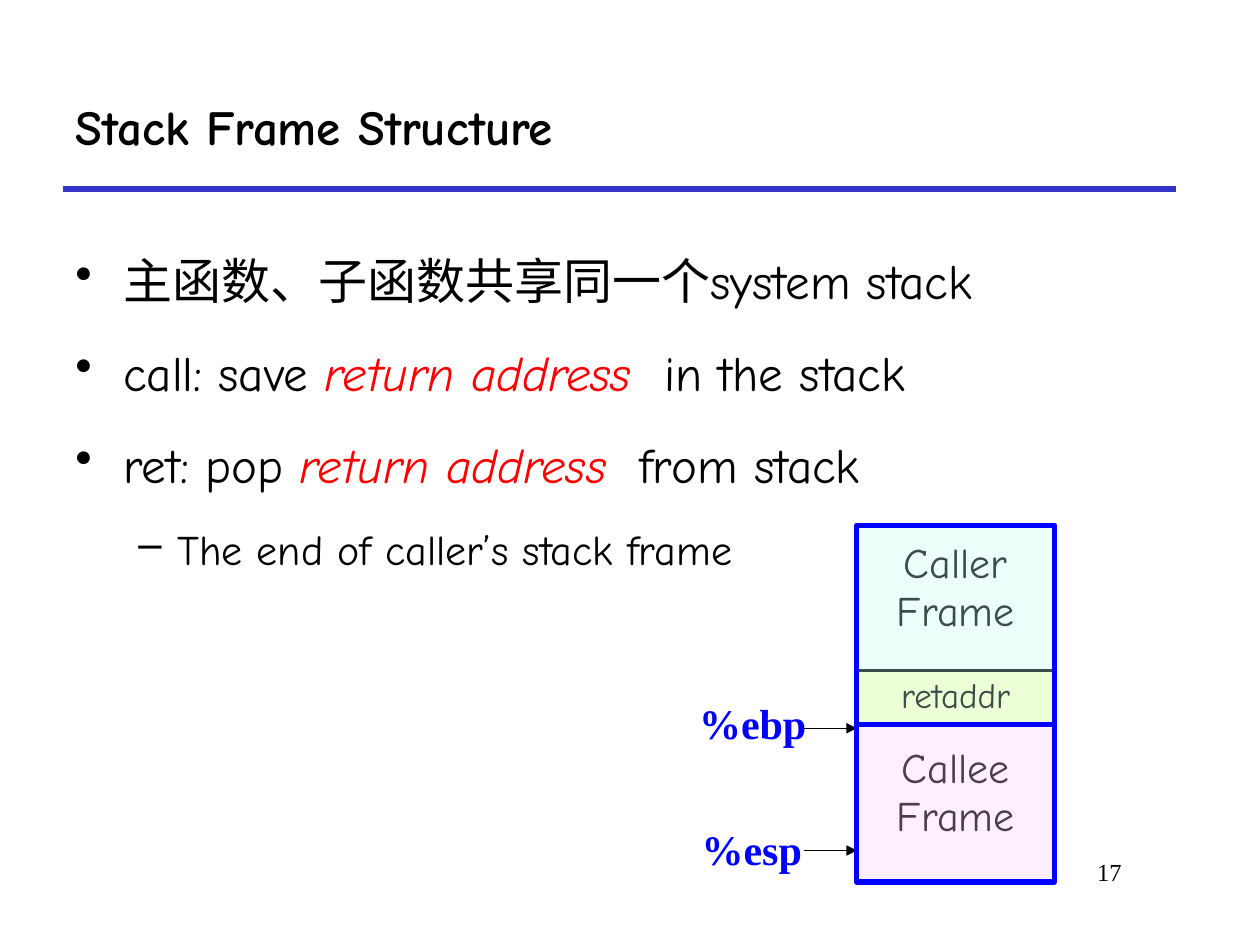
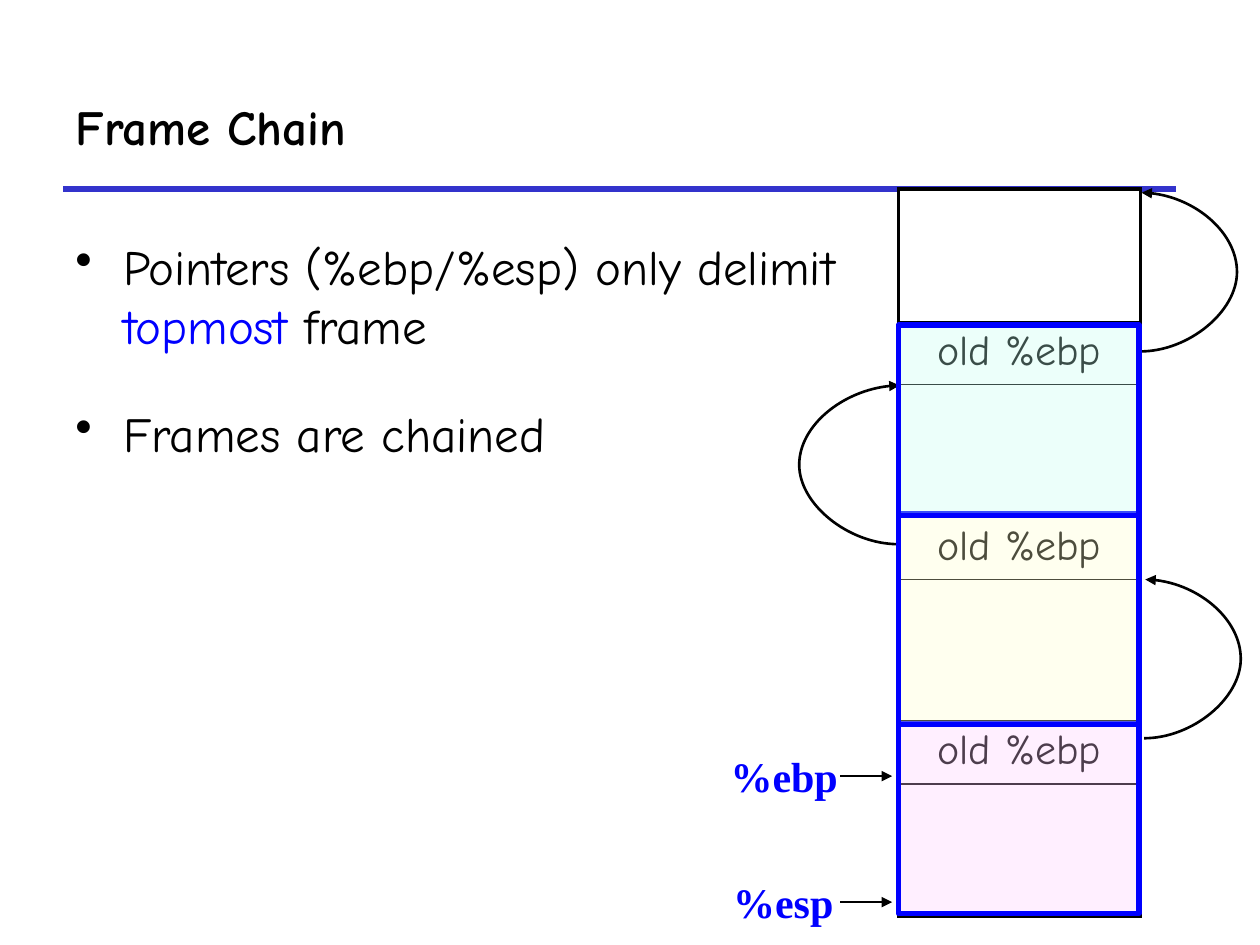
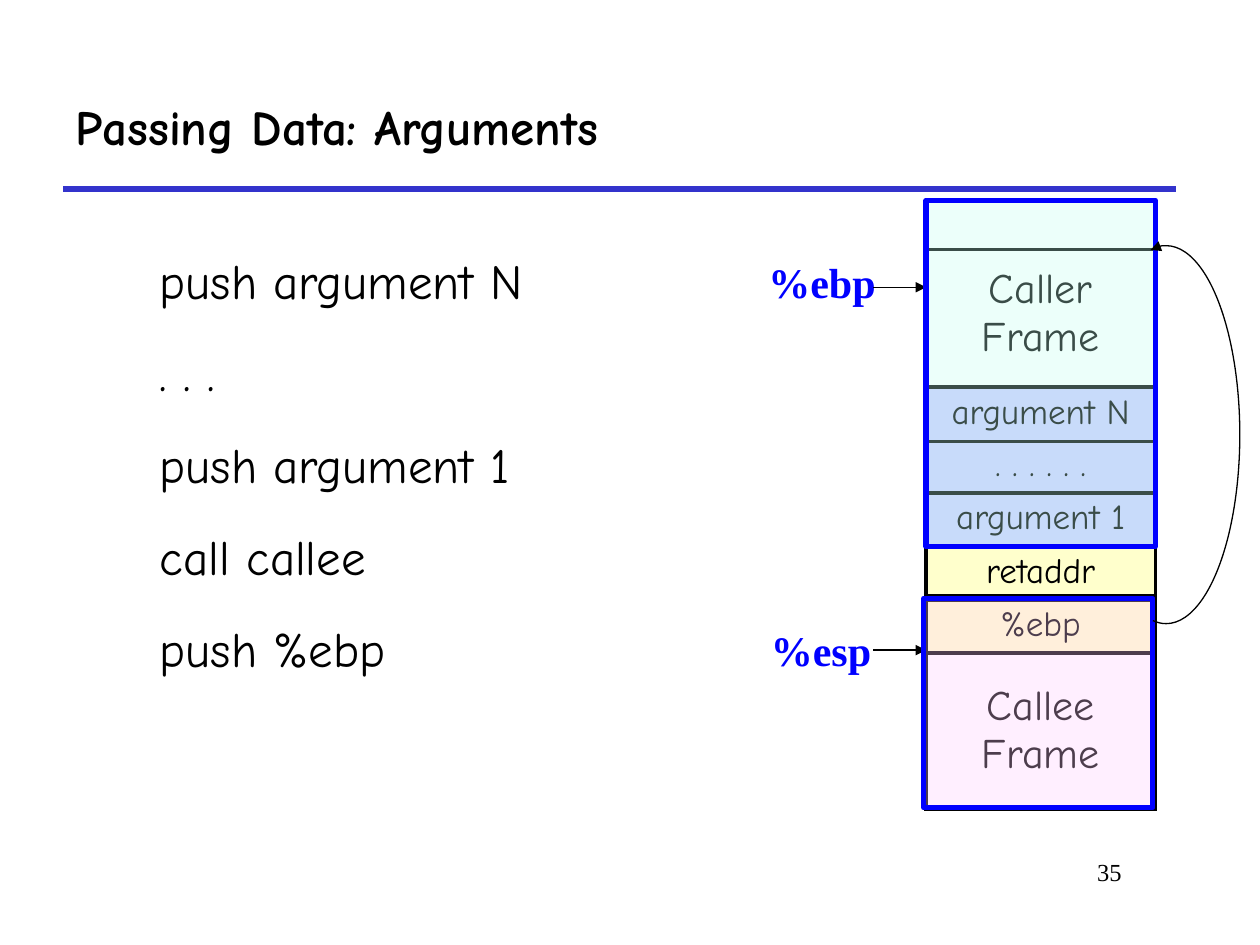
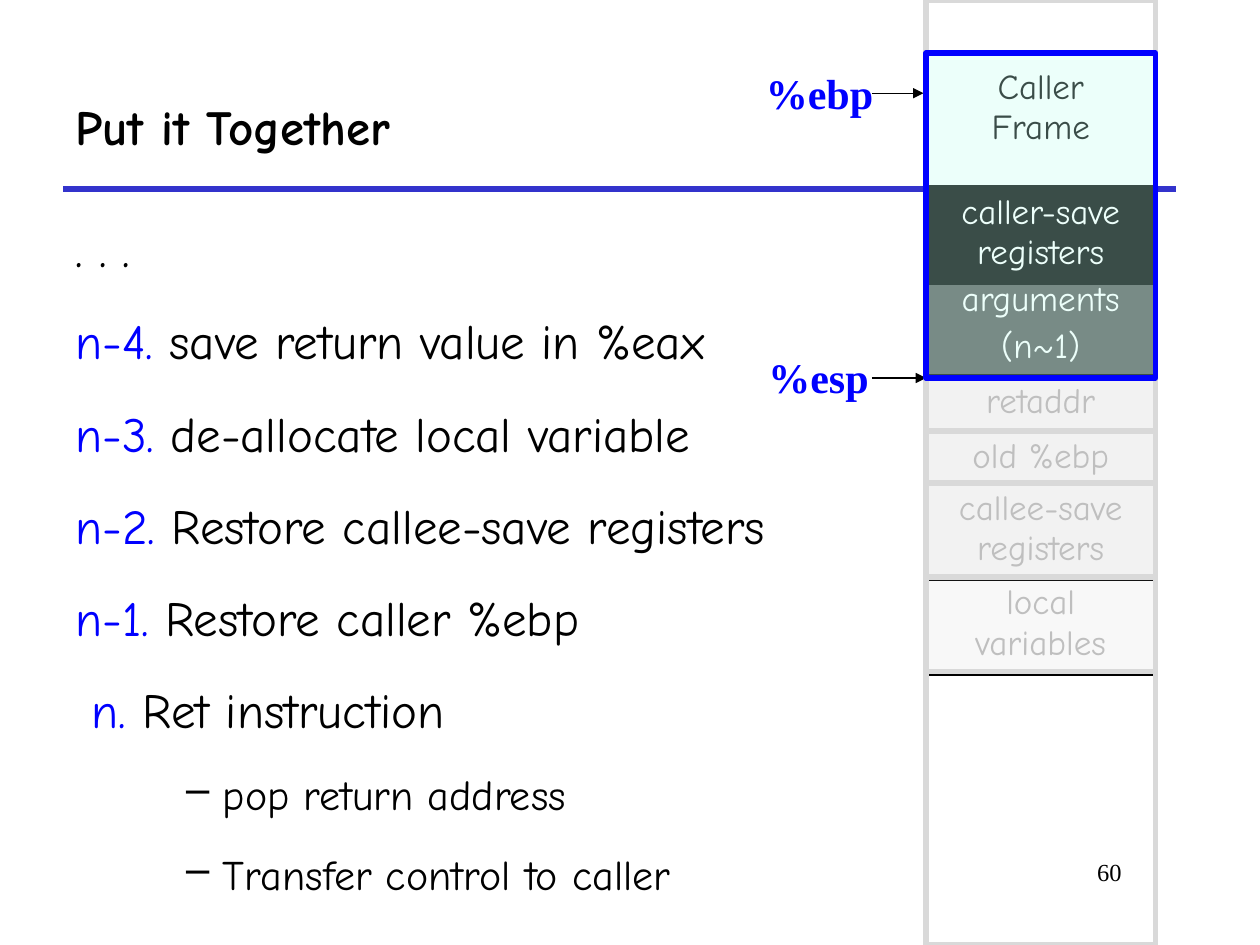
from lxml import etree
from pptx import Presentation
from pptx.dml.color import RGBColor
from pptx.enum.shapes import MSO_CONNECTOR, MSO_SHAPE
from pptx.enum.text import MSO_ANCHOR, MSO_AUTO_SIZE, PP_ALIGN
from pptx.oxml.ns import qn
from pptx.util import Inches, Pt

COLORS = {
    "black": "000000", "white": "FFFFFF", "rule": "3333CC", "blue": "0000FF",
    "red": "FF0000", "mint": "C2FFF0", "pink": "FFCCFF", "yellow": "FFFFCC",
    "lilac": "CCCCFF", "dark": "595959", "pale": "F2F2F2", "faded": "BFBFBF",
    "outline": "D9D9D9",
}
HAND_FONT = "Comic Neue"
SERIF_FONT = "Times New Roman"

# Paragraph styles: bullet, left indent, first-line indent, level, size
BODY_STYLES = {
    "plain": (None, 0, 0, 0, 28),
    "bullet": ("•", 0.38, -0.38, 0, 28),
    "dash": ("–", 0.81, -0.31, 1, 24),
    "deep dash": ("–", 1.17, -0.29, 1, 24),
}

# Paragraphs are (style, (text, color), ...).
# Tables are (top, rows); a row is (height, text, fill, color, size, top margin).
# Pointers are (label left, label top, arrow start x, arrow end x, arrow y).
# Boxes are (left, top, width, height, fill, line).
SLIDES = [
    {
        "title": "Stack Frame Structure", "page": "17",
        "body": (0.5, 1.75, 9.17, 4.83), "spacing": (1.4, 5.6),
        "paragraphs": [
            ("bullet", ("主函数、子函数共享同一个system stack", "black")),
            ("bullet", ("call: save ", "black"), ("return address", "red"),
             ("  in the stack", "black")),
            ("bullet", ("ret: pop ", "black"), ("return address", "red"),
             ("  from stack", "black")),
            ("dash", ("The end of caller’s stack frame", "black")),
        ],
        "stack": (6.8, 1.57),
        "tables": [
            (5.75, [(1.25, "Callee\vFrame", None, "black", 24, 0.17)]),
            (5.32, [(0.43, "retaddr", "yellow", "black", 20, 0.05)]),
            (4.17, [(1.58, "Caller\vFrame", None, "black", 24, 0.12)]),
        ],
        "pointers": [(5.45, 5.49, 6.38, 6.8, 5.78), (5.47, 6.49, 6.38, 6.8, 6.75)],
        "arrow width": 0.75,
        "boxes": [(6.8, 4.17, 1.57, 1.58, "mint", "blue"),
                  (6.8, 5.75, 1.57, 1.25, "pink", "blue")],
    },
    {
        "title": "Frame Chain", "page": None,
        "body": (0.5, 1.83, 6.63, 2.24), "spacing": (1, 28),
        "paragraphs": [
            ("bullet", ("Pointers (%ebp/%esp) only delimit ", "black"),
             ("topmost ", "blue"), ("frame", "black")),
            ("bullet", ("Frames are chained", "black")),
        ],
        "stack": (7.13, 1.92),
        "tables": [
            (1.5, [(height, text, "white", "black", 24, 0.05) for height, text in (
                (1.05, ""), (0.5, "old %ebp"), (1.05, ""), (0.5, "old %ebp"),
                (1.12, ""), (0.5, "old %ebp"), (1.05, ""))]),
        ],
        "pointers": [(5.7, 5.91, 6.67, 7.08, 6.16), (5.72, 6.91, 6.67, 7.08, 7.16)],
        "arrow width": 1.5,
        "boxes": [(7.13, 5.74, 1.91, 1.51, "pink", "blue"),
                  (7.13, 4.08, 1.91, 1.67, "yellow", "blue"),
                  (7.13, 2.58, 1.91, 1.51, "mint", "blue")],
    },
    {
        "title": "Passing Data: Arguments", "page": "35",
        "body": (1.17, 1.75, 8.5, 4.83), "spacing": (1.4, 5.6),
        "paragraphs": [("plain", (text, "black")) for text in (
            "push argument N", ". . .", "push argument 1", "call callee", "push %ebp")],
        "stack": (7.35, 1.82),
        "tables": [
            (4.75, [(0.43, "%ebp", "yellow", "black", 20, 0.05)]),
            (3.9, [(0.43, "argument 1", "lilac", "black", 20, 0.05)]),
            (3.48, [(0.43, ". . . . . .", "lilac", "black", 20, 0.05)]),
            (3.07, [(0.43, "argument N", "lilac", "black", 20, 0.05)]),
            (4.33, [(0.43, "retaddr", "yellow", "black", 20, 0.05)]),
            (1.98, [(2.75, "Caller\vFrame", None, "black", 24, 0.13)]),
            (4.75, [(1.67, "Callee\vFrame", None, "black", 24, 0.67)]),
        ],
        "pointers": [(6, 1.99, 6.93, 7.35, 2.28), (6.02, 4.91, 6.93, 7.35, 5.16)],
        "arrow width": 0.75,
        "boxes": [(7.35, 1.59, 1.82, 2.75, "mint", "blue"),
                  (7.33, 4.75, 1.82, 1.66, "pink", "blue")],
    },
    {
        "title": "Put it Together", "page": "60",
        "body": (0.5, 1.5, 9.5, 5.58), "spacing": (1.4, 5.6),
        "paragraphs": [
            ("plain", (". . .", "black")),
            ("plain", ("n-4. ", "blue"), ("save return value in %eax", "black")),
            ("plain", ("n-3. ", "blue"), ("de-allocate local variable", "black")),
            ("plain", ("n-2. ", "blue"), ("Restore callee-save registers", "black")),
            ("plain", ("n-1. ", "blue"), ("Restore caller %ebp", "black")),
            ("plain", (" n. ", "blue"), ("Ret instruction", "black")),
            ("deep dash", ("pop return address", "black")),
            ("deep dash", ("Transfer control to caller", "black")),
        ],
        "stack": (7.35, 1.82),
        "tables": [
            (2.17, [(0.83, "arguments\n(n~1)", "dark", "white", 20, 0.05)]),
            (1.48, [(0.77, "caller-save registers", "black", "white", 20, 0.05)]),
            (3.42, [(0.43, "old %ebp", "pale", "faded", 20, 0.05)]),
            (2.98, [(0.43, "retaddr", "pale", "faded", 20, 0.05)]),
            (0.42, [(3, "Caller\vFrame", None, "black", 20, 0.12)]),
            (3.83, [(0.77, "callee-save registers", "pale", "faded", 20, 0.05)]),
            (4.58, [(0.77, "local variables", "faded", "faded", 20, 0.05)]),
        ],
        "pointers": [(5.98, 0.49, 6.92, 7.33, 0.74), (6, 2.74, 6.92, 7.35, 3)],
        "arrow width": 0.75,
        "boxes": [(7.35, 0, 1.82, 7.5, None, "outline"),
                  (7.35, 4.58, 1.82, 0.75, None, "outline"),
                  (7.35, 3.83, 1.82, 0.75, None, "outline"),
                  (7.35, 3.42, 1.82, 0.42, None, "outline"),
                  (7.35, 3, 1.82, 0.42, None, "outline"),
                  (7.35, 0.42, 1.82, 2.58, "mint", "blue")],
    },
]


def format_text(paragraph, font_name, size, color, bold=False, alignment=PP_ALIGN.LEFT):
    paragraph.alignment = alignment
    for run in paragraph.runs:
        run.font.name = font_name
        run.font.size = Pt(size)
        run.font.bold = bold
        run.font.color.rgb = RGBColor.from_string(COLORS[color])


def set_fill(fill, color, opacity=100):
    if color is None:
        fill.background()
        return
    fill.solid()
    fill.fore_color.rgb = RGBColor.from_string(COLORS[color])
    if opacity < 100:
        color_element = fill._xPr.find(qn("a:solidFill"))[0]
        etree.SubElement(color_element, qn("a:alpha"), val=str(opacity * 1000))


presentation = Presentation()
presentation.slide_width = Inches(10)
presentation.slide_height = Inches(7.5)
layout = presentation.slide_layouts[5]

for number, content in enumerate(SLIDES, start=1):
    slide = presentation.slides.add_slide(layout)
    shapes = slide.shapes

    # Title
    title = shapes.title
    title.left, title.top, title.width, title.height = map(Inches, (0.5, 0.5, 8.83, 1))
    title.text_frame.text = content["title"]
    title.text_frame.vertical_anchor = MSO_ANCHOR.MIDDLE
    format_text(title.text_frame.paragraphs[0], HAND_FONT, 28, "black", bold=True)

    # Body text
    body = shapes.add_textbox(*map(Inches, content["body"]))
    body.text_frame.word_wrap = True
    line_spacing, space_before = content["spacing"]
    for index, (style, *pieces) in enumerate(content["paragraphs"]):
        bullet, left_indent, first_indent, level, size = BODY_STYLES[style]
        paragraph = body.text_frame.paragraphs[0] if index == 0 else body.text_frame.add_paragraph()
        paragraph.level = level
        paragraph.line_spacing = line_spacing
        paragraph.space_before = Pt(space_before if index else 0)
        for text, color in pieces:
            paragraph.add_run().text = text
        format_text(paragraph, HAND_FONT, size, "black")
        for run, (text, color) in zip(paragraph.runs, pieces):
            run.font.color.rgb = RGBColor.from_string(COLORS[color])
            run.font.italic = color == "red"
        properties = paragraph._p.get_or_add_pPr()
        properties.set("marL", str(Inches(left_indent)))
        properties.set("indent", str(Inches(first_indent)))
        if bullet:
            etree.SubElement(properties, qn("a:buChar"), char=bullet)

    # Page number
    if content["page"]:
        page = shapes.add_textbox(Inches(7.58), Inches(6.75), Inches(1.42), Inches(0.5))
        page.text_frame.word_wrap = True
        page.text_frame.text = content["page"]
        format_text(page.text_frame.paragraphs[0], SERIF_FONT, 14, "black",
                    alignment=PP_ALIGN.RIGHT)

    # Stack cells: thick outer edges, thin inner ones
    stack_left, stack_width = content["stack"]
    for top, rows in content["tables"]:
        height = sum(row[0] for row in rows)
        table = shapes.add_table(len(rows), 1, Inches(stack_left), Inches(top),
                                 Inches(stack_width), Inches(height)).table
        table.first_row = False
        table.horz_banding = False
        for index, (row_height, text, fill, color, size, margin) in enumerate(rows):
            table.rows[index].height = Inches(row_height)
            cell = table.cell(index, 0)
            cell.margin_top = Inches(margin)
            cell.text_frame.text = text
            for position, paragraph in enumerate(cell.text_frame.paragraphs):
                format_text(paragraph, HAND_FONT, size, color, alignment=PP_ALIGN.CENTER)
                paragraph.space_before = Pt(size * 0.2 if position else 0)
            edges = {"L": 2.25, "R": 2.25, "T": 1 if index else 2.25,
                     "B": 1 if index < len(rows) - 1 else 2.25}
            for side, width in edges.items():
                border = etree.SubElement(cell._tc.get_or_add_tcPr(), qn("a:ln" + side),
                                          w=str(Pt(width)))
                border_fill = etree.SubElement(border, qn("a:solidFill"))
                etree.SubElement(border_fill, qn("a:srgbClr"), val=COLORS["black"])
            set_fill(cell.fill, fill, 10 if fill == "faded" else 100)

    # Register labels
    arrows = []
    for name, (left, top, start, end, y) in zip(("%ebp", "%esp"), content["pointers"]):
        label = shapes.add_textbox(Inches(left), Inches(top), Inches(1.06), Inches(0.51))
        label.text_frame.word_wrap = False
        label.text_frame.auto_size = MSO_AUTO_SIZE.SHAPE_TO_FIT_TEXT
        label.text_frame.text = name
        format_text(label.text_frame.paragraphs[0], SERIF_FONT, 24, "blue", bold=True)
        arrows.append(shapes.add_connector(
            MSO_CONNECTOR.STRAIGHT, Inches(start), Inches(y), Inches(end), Inches(y)))

    # Curved links between chained frames
    if number == 2:
        for x, bottom, bulge in ((9.08, 5.86, 78), (9.05, 2.79, 78), (7.13, 4.32, -80)):
            curve = shapes.add_connector(MSO_CONNECTOR.CURVE, Inches(x), Inches(bottom),
                                         Inches(x + 0.01), Inches(bottom - 1.26))
            guides = curve._element.spPr.find(qn("a:prstGeom")).get_or_add_avLst()
            etree.SubElement(guides, qn("a:gd"), name="adj1", fmla=f"val {bulge * 100000}")
            arrows.append(curve)

    for arrow in arrows:
        arrow.line.color.rgb = RGBColor.from_string(COLORS["black"])
        arrow.line.width = Pt(content["arrow width"])
        etree.SubElement(arrow.line._get_or_add_ln(), qn("a:tailEnd"), type="triangle")
        etree.SubElement(arrow._element.spPr, qn("a:effectLst"))

    # Frame outlines and translucent tints
    for left, top, width, height, fill, line in content["boxes"]:
        box = shapes.add_shape(MSO_SHAPE.RECTANGLE, Inches(left), Inches(top),
                               Inches(width), Inches(height))
        box.shadow.inherit = False
        set_fill(box.fill, fill, 30)
        box.line.color.rgb = RGBColor.from_string(COLORS[line])
        box.line.width = Pt(3)

    # Link from the saved %ebp back to the caller frame
    if number == 3:
        arc = shapes.add_shape(MSO_SHAPE.ARC, Inches(8.67), Inches(1.95), Inches(1.17), Inches(3))
        arc.adjustments[0] = 159.12
        arc.adjustments[1] = 56.43
        arc.shadow.inherit = False
        arc.fill.background()
        arc.line.color.rgb = RGBColor.from_string(COLORS["black"])
        arc.line.width = Pt(0.75)
        etree.SubElement(arc.line._get_or_add_ln(), qn("a:headEnd"), type="triangle")

# Rule under every title, moved to the shared layout
rule = presentation.slides[0].shapes.add_connector(
    MSO_CONNECTOR.STRAIGHT, Inches(0.5), Inches(1.5), Inches(9.33), Inches(1.5))
rule.line.color.rgb = RGBColor.from_string(COLORS["rule"])
rule.line.width = Pt(3)
etree.SubElement(rule._element.spPr, qn("a:effectLst"))
layout.shapes.element.append(rule._element)

presentation.save("out.pptx")
